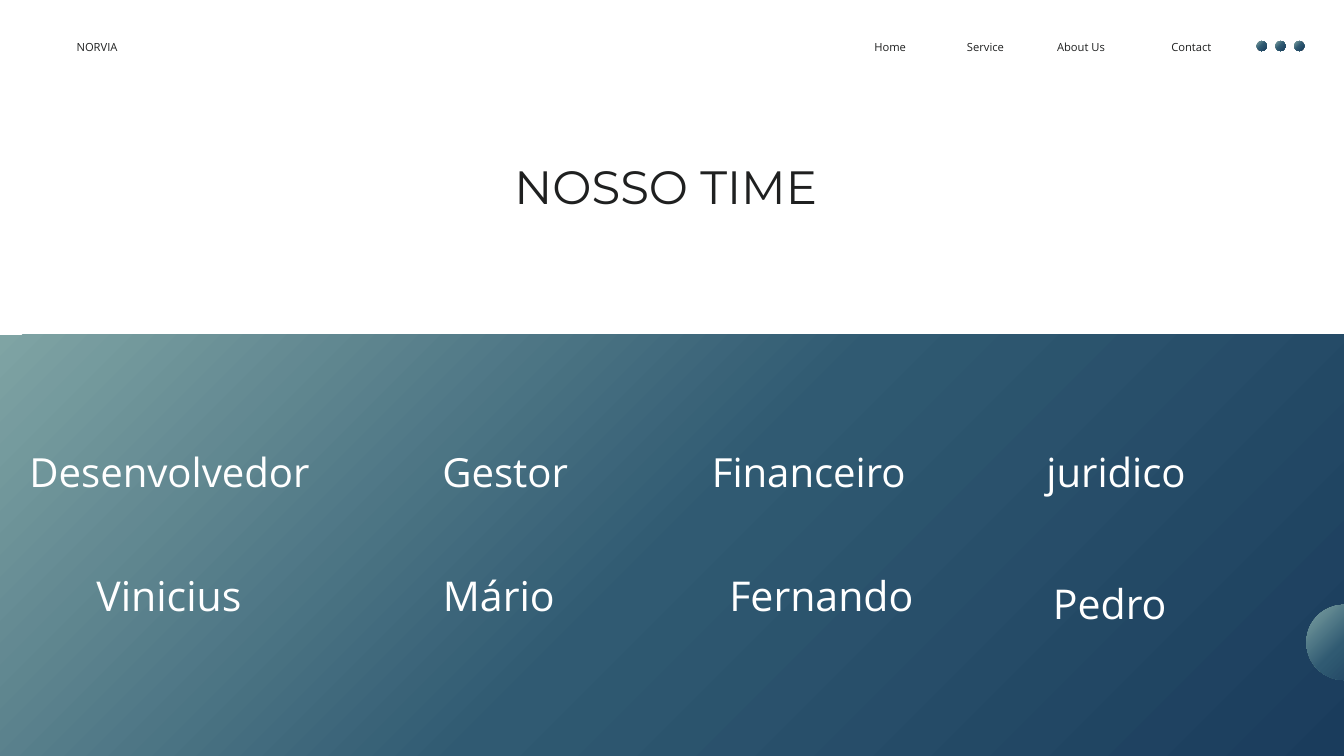
from copy import deepcopy
from dataclasses import dataclass

from pptx import Presentation
from pptx.dml.color import RGBColor
from pptx.enum.shapes import MSO_SHAPE
from pptx.enum.text import MSO_AUTO_SIZE, PP_ALIGN
from pptx.oxml.ns import qn
from pptx.slide import Slide
from pptx.util import Inches, Pt


@dataclass(frozen=True)
class Theme:
    ink: str = "1F2020"
    light: str = "FFFFFF"
    gradient: tuple[str, ...] = ("7FA4A4", "305A72", "1A3C5C")
    body_font: str = "Open Sans"
    title_font: str = "Montserrat"
    nav_size: float = 12
    role_size: float = 43
    name_size: float = 44
    title_size: float = 50


@dataclass(frozen=True)
class Box:
    left: float
    top: float
    width: float
    height: float


@dataclass(frozen=True)
class TextStyle:
    font: str
    size: float
    color: str
    line_spacing: float
    align: PP_ALIGN = PP_ALIGN.CENTER


@dataclass(frozen=True)
class NavItem:
    label: str
    left: float
    width: float


@dataclass(frozen=True)
class Member:
    role: str
    role_left: float
    role_width: float
    name: str
    name_left: float
    name_top: float = 8.36


THEME = Theme()
NAV = TextStyle(THEME.body_font, THEME.nav_size, THEME.ink, 16.8, PP_ALIGN.LEFT)
ROLE = TextStyle(THEME.body_font, THEME.role_size, THEME.light, 60.2)
NAME = TextStyle(THEME.body_font, THEME.name_size, THEME.light, 61.6)
TITLE = TextStyle(THEME.title_font, THEME.title_size, THEME.ink, 56)

NAV_ITEMS = [
    NavItem("NORVIA", 1.14, 1.84),
    NavItem("Home", 13.01, 0.89),
    NavItem("Service", 14.39, 0.8),
    NavItem("About Us", 15.73, 1.16),
    NavItem("Contact", 17.43, 1.07),
]

# The trailing spaces count towards the centring of these labels
TEAM = [
    Member("Desenvolvedor ", 0.34, 4.52, "Vinicius ", 0.93),
    Member("Gestor ", 6.1, 2.99, "Mário", 5.76),
    Member("Financeiro", 10.32, 3.43, "Fernando", 10.56),
    Member("juridico ", 15.19, 2.99, "Pedro", 14.85, 8.49),
]


def add_gradient_shape(s: Slide, kind: MSO_SHAPE, box: Box) -> None:
    sp = s.shapes.add_shape(kind, Inches(box.left), Inches(box.top),
                            Inches(box.width), Inches(box.height))
    sp.shadow.inherit = False
    sp.line.fill.background()
    sp.fill.gradient()
    sp.fill.gradient_angle = 315  # counter-clockwise: towards bottom right
    stops = sp._element.spPr.find(".//" + qn("a:gsLst"))
    stops.append(deepcopy(stops[0]))
    for i, (stop, color) in enumerate(zip(sp.fill.gradient_stops, THEME.gradient)):
        stop.position = i / (len(THEME.gradient) - 1)
        stop.color.rgb = RGBColor.from_string(color)


def add_text(s: Slide, text: str, box: Box, style: TextStyle) -> None:
    sp = s.shapes.add_textbox(Inches(box.left), Inches(box.top),
                              Inches(box.width), Inches(box.height))
    tf = sp.text_frame
    tf.margin_left = tf.margin_right = tf.margin_top = tf.margin_bottom = 0
    tf.word_wrap = True
    tf.auto_size = MSO_AUTO_SIZE.SHAPE_TO_FIT_TEXT
    tf.text = text
    p = tf.paragraphs[0]
    p.alignment = style.align
    p.line_spacing = Pt(style.line_spacing)
    r = p.runs[0]
    r.font.name = style.font
    r.font.size = Pt(style.size)
    r.font.color.rgb = RGBColor.from_string(style.color)


def main() -> None:
    prs = Presentation()
    prs.slide_width, prs.slide_height = Inches(20), Inches(11.25)
    s = prs.slides.add_slide(prs.slide_layouts[6])

    # Lower panel and the circle on its right edge
    add_gradient_shape(s, MSO_SHAPE.RECTANGLE, Box(0, 4.98, 20, 6.27))
    add_gradient_shape(s, MSO_SHAPE.OVAL, Box(19.44, 9, 1.12, 1.12))

    # Navigation bar with menu dots
    for i in range(3):
        add_gradient_shape(s, MSO_SHAPE.OVAL, Box(18.7 + i * 0.28, 0.61, 0.15, 0.15))
    for item in NAV_ITEMS:
        add_text(s, item.label, Box(item.left, 0.57, item.width, 0.22), NAV)

    # Team roles and names
    for m in TEAM:
        add_text(s, m.role, Box(m.role_left, 6.54, m.role_width, 0.81), ROLE)
        add_text(s, m.name, Box(m.name_left, m.name_top, 3.33, 0.83), NAME)

    # Title
    add_text(s, "NOSSO TIME ", Box(6.1, 2.4, 7.8, 0.78), TITLE)

    prs.save("out.pptx")


if __name__ == "__main__":
    main()
